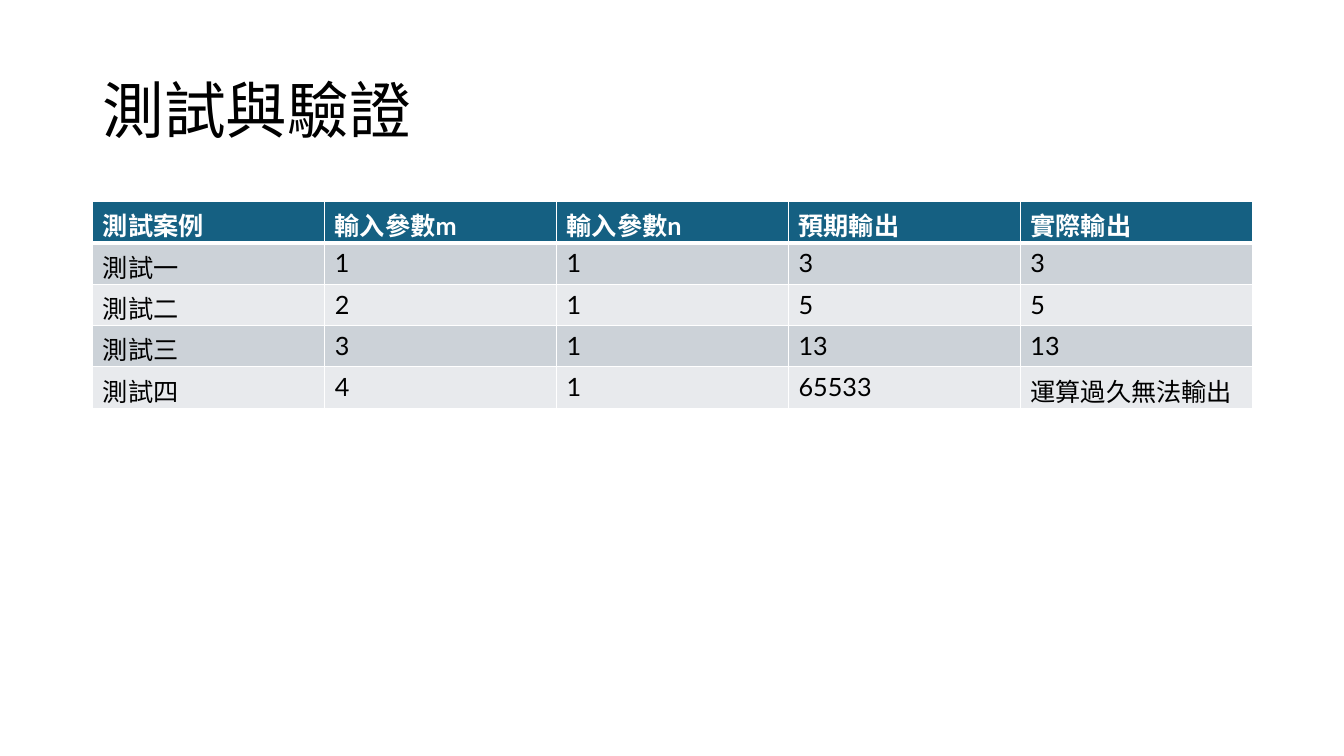
from dataclasses import dataclass

from lxml import etree
from pptx import Presentation
from pptx.dml.color import RGBColor
from pptx.enum.text import MSO_ANCHOR
from pptx.oxml.ns import qn
from pptx.util import Pt

MIDDLE = MSO_ANCHOR.MIDDLE
PX = 9144  # EMU in one px, 100 px to the inch
WIDTH, HEIGHT = 1333, 750
LEFT, SPAN = 92, 1150
ROW = 41

CASES = [
    ["測試案例", "輸入參數m", "輸入參數n", "預期輸出", "實際輸出"],
    ["測試一", "1", "1", "3", "3"],
    ["測試二", "2", "1", "5", "5"],
    ["測試三", "3", "1", "13", "13"],
    ["測試四", "4", "1", "65533", "運算過久無法輸出"],
]


@dataclass(frozen=True)
class Theme:
    font: str = "Lato"
    ink: str = "000000"
    paper: str = "FFFFFF"
    head: str = "156082"
    bands: tuple = ("CCD2D8", "E8EAED")
    title: int = 44
    body: int = 18
    thin: int = 1
    thick: int = 3


THEME = Theme()


def px(*sizes):
    return [size * PX for size in sizes]


def write(para, text, size, color, bold=False):
    run = para.add_run()
    run.text = text
    style = {"name": THEME.font, "size": Pt(size), "bold": bold}
    for key, value in style.items():
        setattr(run.font, key, value)
    run.font.color.rgb = RGBColor.from_string(color)


def add_title(slide, text):
    frame = slide.shapes.add_textbox(*px(LEFT, 40, SPAN, 145)).text_frame
    for key, value in {"word_wrap": True, "vertical_anchor": MIDDLE}.items():
        setattr(frame, key, value)
    para = frame.paragraphs[0]
    para.line_spacing = 0.9
    write(para, text, THEME.title, THEME.ink)


def edge(cell, widths):
    """Draw the cell borders; call before the fill, which must follow them."""
    props = cell._tc.get_or_add_tcPr()
    for side, width in widths.items():
        line = etree.SubElement(props, qn(f"a:ln{side}"), w=str(Pt(width)))
        fill = etree.SubElement(line, qn("a:solidFill"))
        etree.SubElement(fill, qn("a:srgbClr"), val=THEME.paper)


def fill_cell(cell, text, row):
    head = row == 0
    edge(cell, {
        "L": THEME.thin,
        "R": THEME.thin,
        "T": THEME.thick if row == 1 else THEME.thin,
        "B": THEME.thick if head else THEME.thin,
    })
    color = THEME.head if head else THEME.bands[(row - 1) % 2]
    cell.fill.solid()
    cell.fill.fore_color.rgb = RGBColor.from_string(color)
    ink = THEME.paper if head else THEME.ink
    write(cell.text_frame.paragraphs[0], text, THEME.body, ink, head)


def add_grid(slide, rows):
    box = px(LEFT, 200, SPAN, ROW * len(rows))
    table = slide.shapes.add_table(len(rows), len(rows[0]), *box).table
    for row, texts in enumerate(rows):
        for col, text in enumerate(texts):
            fill_cell(table.cell(row, col), text, row)


def main():
    deck = Presentation()
    deck.slide_width, deck.slide_height = px(WIDTH, HEIGHT)
    slide = deck.slides.add_slide(deck.slide_layouts[6])
    add_title(slide, "測試與驗證")
    add_grid(slide, CASES)
    deck.save("out.pptx")


if __name__ == "__main__":
    main()
